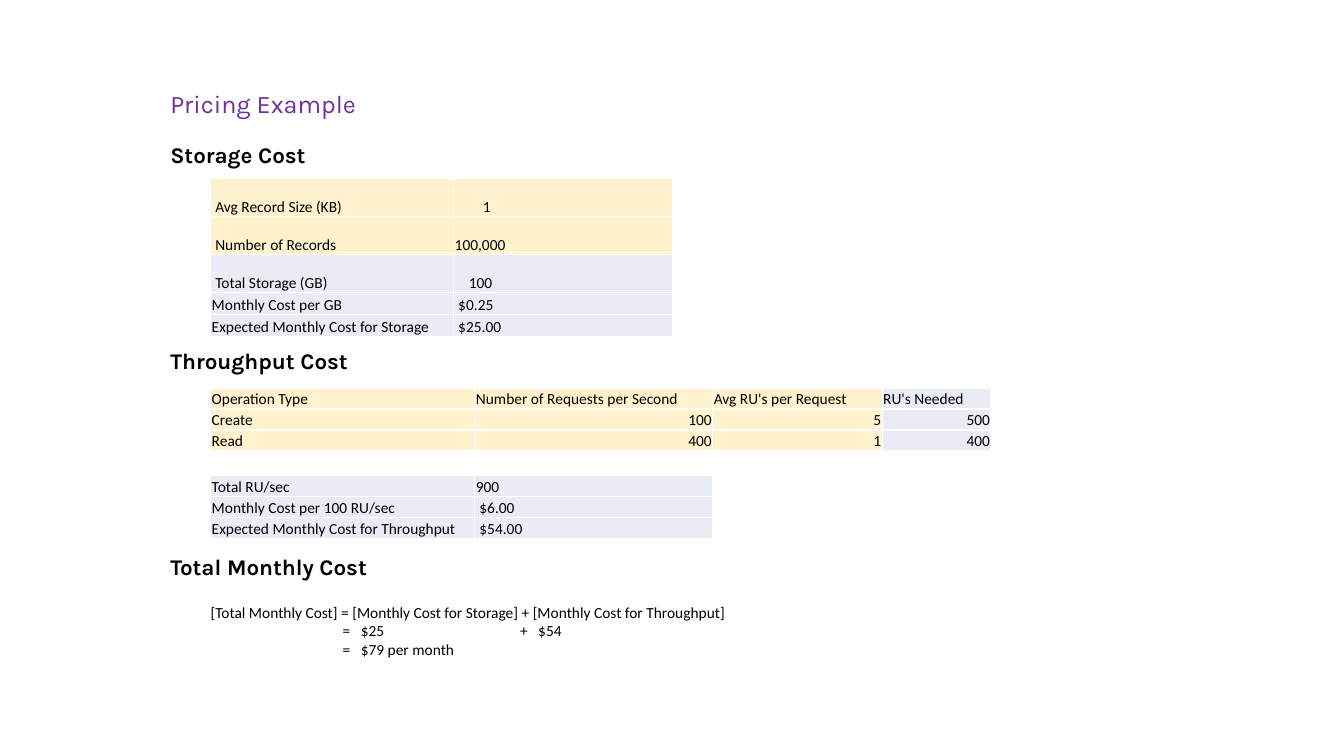
from lxml.etree import SubElement
from pptx import Presentation
from pptx.dml.color import RGBColor
from pptx.enum.text import MSO_ANCHOR, MSO_AUTO_SIZE, PP_ALIGN
from pptx.oxml.ns import qn
from pptx.util import Inches, Pt

COLORS = {
    "title": "7030A0",
    "text": "000000",
    "input": "FFF2CC",
    "result": "E9EBF5",
    "border": "FFFFFF",
}
HEADING_FONT, BODY_FONT = "Karla", "Calibri"
CELL = 0.1


def grid(count):
    return Inches(count * CELL)


class PricingPage:
    def __init__(self, deck):
        self.page = deck.slides.add_slide(deck.slide_layouts[6])

    def span(self, para, text, size, font=BODY_FONT, color="text", bold=False):
        span = para.add_run()
        span.text = text
        span.font.size = Pt(size)
        span.font.name = font
        span.font.bold = bold
        span.font.color.rgb = RGBColor.from_string(COLORS[color])

    def box(self, column, row, columns, rows, wrap=True):
        box = self.page.shapes.add_textbox(grid(column), grid(row), grid(columns), grid(rows))
        box.text_frame.word_wrap = wrap
        box.text_frame.auto_size = MSO_AUTO_SIZE.SHAPE_TO_FIT_TEXT
        return box.text_frame

    def heading(self, row, rows, text, size, color="text", bold=True):
        frame = self.box(15.9, row, 46.8, rows)
        self.span(frame.paragraphs[0], text, size, HEADING_FONT, color, bold)

    def borders(self, cell):
        properties = cell._tc.get_or_add_tcPr()
        for side in ("a:lnL", "a:lnR", "a:lnT", "a:lnB"):
            line = SubElement(properties, qn(side), w=str(Pt(1)))
            fill = SubElement(line, qn("a:solidFill"))
            SubElement(fill, qn("a:srgbClr"), val=COLORS["border"])

    def table(self, row, widths, heights, values, is_input, indents=None, numeric=False):
        indents = indents or {}
        table = self.page.shapes.add_table(
            len(heights), len(widths), grid(20.9), grid(row),
            grid(sum(widths)), grid(sum(heights))).table
        table.first_row = table.horz_banding = False
        for column, width in zip(table.columns, widths):
            column.width = grid(width)
        for line, height in zip(table.rows, heights):
            line.height = grid(height)
        for r, line in enumerate(values):
            for c, text in enumerate(line):
                cell = table.cell(r, c)
                cell.vertical_anchor = MSO_ANCHOR.BOTTOM
                cell.margin_left = grid(0.1 + indents.get((r, c), 0))
                cell.margin_right = cell.margin_top = grid(0.1)
                cell.margin_bottom = 0
                self.borders(cell)
                cell.fill.solid()
                fill = COLORS["input" if is_input(r, c) else "result"]
                cell.fill.fore_color.rgb = RGBColor.from_string(fill)
                para = cell.text_frame.paragraphs[0]
                if numeric and r and c:
                    para.alignment = PP_ALIGN.RIGHT
                self.span(para, text, 11)

    def formula(self, lines, stops):
        frame = self.box(19.9, 59.3, 53.6, 6.6, wrap=False)
        for index, text in enumerate(lines):
            para = frame.paragraphs[0] if index == 0 else frame.add_paragraph()
            tabs = SubElement(para._p.get_or_add_pPr(), qn("a:tabLst"))
            for stop in stops:
                SubElement(tabs, qn("a:tab"), pos=str(grid(stop)), algn="l")
            self.span(para, text, 11)


def main():
    deck = Presentation()
    deck.slide_width, deck.slide_height = Inches(13.33), Inches(7.5)
    pricing = PricingPage(deck)

    pricing.heading(8.3, 4, "Pricing Example", 18, "title", bold=False)
    for index, text in enumerate(("Storage Cost", "Throughput Cost", "Total Monthly Cost")):
        pricing.heading(13.5 + 20.45 * index, 3.7, text, 16)

    pricing.table(
        17.7, [24.1, 21.7], [3.78] * 3 + [2.17] * 2,
        [("Avg Record Size (KB)", "1"),
         ("Number of Records", "100,000"),
         ("Total Storage (GB)", "100"),
         ("Monthly Cost per GB", "$0.25"),
         ("Expected Monthly Cost for Storage", "$25.00")],
        lambda r, c: r < 2,
        {(0, 0): 0.35, (1, 0): 0.35, (2, 0): 0.35,
         (0, 1): 2.8, (2, 1): 1.4, (3, 1): 0.35, (4, 1): 0.35})

    operation_widths = [26.2, 23.6, 16.8, 10.8]
    pricing.table(
        38.5, operation_widths, [2.08] * 3,
        [("Operation Type", "Number of Requests per Second",
          "Avg RU's per Request", "RU's Needed"),
         ("Create", "100", "5", "500"),
         ("Read", "400", "1", "400")],
        lambda r, c: c < 3, numeric=True)

    pricing.table(
        47.2, operation_widths[:2], [2.08] * 3,
        [("Total RU/sec", "900"),
         ("Monthly Cost per 100 RU/sec", "$6.00"),
         ("Expected Monthly Cost for Throughput", "$54.00")],
        lambda r, c: False, {(1, 1): 0.35, (2, 1): 0.35})

    pricing.formula(
        ["[Total Monthly Cost] = [Monthly Cost for Storage] + [Monthly Cost for Throughput]",
         "\t=\t$25\t+\t$54",
         "\t=\t$79 per month"],
        [13.1, 14.9, 30.7, 32.5])

    deck.save("out.pptx")


if __name__ == "__main__":
    main()
